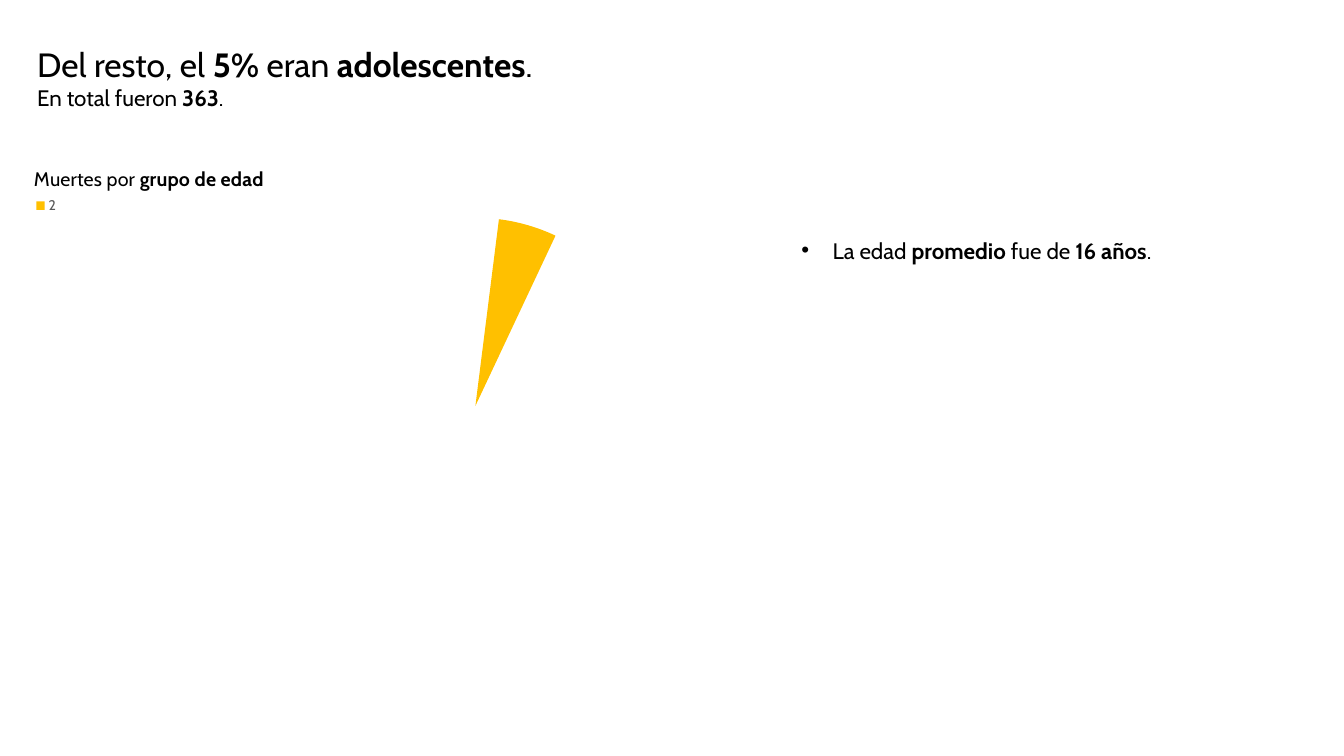
from lxml import etree
from pptx import Presentation
from pptx.chart.data import CategoryChartData
from pptx.dml.color import RGBColor
from pptx.enum.chart import XL_CHART_TYPE, XL_LEGEND_POSITION
from pptx.oxml import parse_xml
from pptx.oxml.ns import nsdecls, qn
from pptx.util import Inches, Pt

PIE = XL_CHART_TYPE.PIE
LEGEND_TOP = XL_LEGEND_POSITION.TOP
BLACK = RGBColor(0x00, 0x00, 0x00)
GREY = RGBColor(0x59, 0x59, 0x59)
AMBER = RGBColor(0xFF, 0xC0, 0x00)
FONT = "Cabin"
AGE_GROUPS = {"1": 2, "2": 5, "3": 90, "Unknown": 3}
SHOWN_GROUP = "2"


def style_font(font, size, color=BLACK, bold=False):
    font.name, font.size, font.bold = FONT, Pt(size), bold
    font.color.rgb = color


def add_runs(p, parts, size):
    """Add the parts as runs, every second one bold."""
    for i, part in enumerate(parts):
        r = p.add_run()
        r.text = part
        style_font(r.font, size, bold=i % 2 == 1)


def add_text_box(slide, box):
    tf = slide.shapes.add_textbox(*map(Inches, box)).text_frame
    tf.word_wrap = True
    return tf


def add_heading(slide, box):
    tf = add_text_box(slide, box)
    add_runs(tf.paragraphs[0],
             ["Del resto, el ", "5%", " eran ", "adolescentes", "."], 24)
    add_runs(tf.add_paragraph(), ["En total fueron ", "363", "."], 16)


def add_finding(slide, box):
    p = add_text_box(slide, box).paragraphs[0]
    add_runs(p, ["La edad ", "promedio", " fue de ", "16 años", "."], 16)
    pPr = p._p.get_or_add_pPr()
    pPr.set("marL", str(Inches(0.31)))
    pPr.set("indent", str(-Inches(0.31)))
    etree.SubElement(pPr, qn("a:buFont")).set("typeface", "Arial")
    etree.SubElement(pPr, qn("a:buChar")).set("char", "•")


def manual_layout(x, y, w=None, h=None, inner=False):
    """Return a chart layout in shares of the chart's size."""
    target = '<c:layoutTarget val="inner"/>' if inner else ""
    modes = '<c:xMode val="edge"/><c:yMode val="edge"/>'
    values = "".join(f'<c:{name} val="{value}"/>' for name, value
                     in zip("xywh", (x, y, w, h)) if value is not None)
    return parse_xml(f'<c:layout {nsdecls("c")}><c:manualLayout>{target}{modes}'
                     f'{values}</c:manualLayout></c:layout>')


def set_layout(element, layout, after):
    """Replace the element's layout, placing it behind its last child named after."""
    for old in element.findall(qn("c:layout")):
        element.remove(old)
    if after is None:
        element.insert(0, layout)
    else:
        element.findall(qn(after))[-1].addnext(layout)


def add_age_chart(slide, box):
    data = CategoryChartData()
    data.categories = list(AGE_GROUPS)
    data.add_series("Series 1", list(AGE_GROUPS.values()))
    chart = slide.shapes.add_chart(PIE, *map(Inches, box), data).chart
    style_font(chart.font, 10)

    title = chart.chart_title
    add_runs(title.text_frame.paragraphs[0], ["Muertes por ", "grupo de edad"], 14)
    title.include_in_layout = False
    set_layout(title._element, manual_layout(0.004, 0.01), "c:tx")

    chart.has_legend = True
    legend = chart.legend
    legend.position = LEGEND_TOP
    legend.include_in_layout = False
    style_font(legend.font, 10, GREY)
    position = legend._element.find(qn("c:legendPos"))

    plot = chart.plots[0]
    plot.vary_by_categories = True
    for i, group in reversed(list(enumerate(AGE_GROUPS))):
        fmt = plot.series[0].points[i].format
        fmt.line.fill.background()
        if group == SHOWN_GROUP:
            fmt.fill.solid()
            fmt.fill.fore_color.rgb = AMBER
        else:
            fmt.fill.background()
            position.addnext(parse_xml(
                f'<c:legendEntry {nsdecls("c")}><c:idx val="{i}"/>'
                '<c:delete val="1"/></c:legendEntry>'))
    set_layout(legend._element, manual_layout(0.005, 0.08), "c:legendEntry")
    plot_area = chart._chartSpace.chart.plotArea
    set_layout(plot_area, manual_layout(0.29, 0.13, 0.42, 0.87, inner=True), None)


def main():
    prs = Presentation()
    prs.slide_width, prs.slide_height = Inches(13.33), Inches(7.5)
    slide = prs.slides.add_slide(prs.slide_layouts[6])
    left, width = 0.27, 8.89
    add_heading(slide, (left, 0.39, width, 0.77))
    add_age_chart(slide, (left, 1.57, width, 4.35))
    add_finding(slide, (7.85, 2.3, 3.91, 0.37))
    prs.save("out.pptx")


if __name__ == "__main__":
    main()
